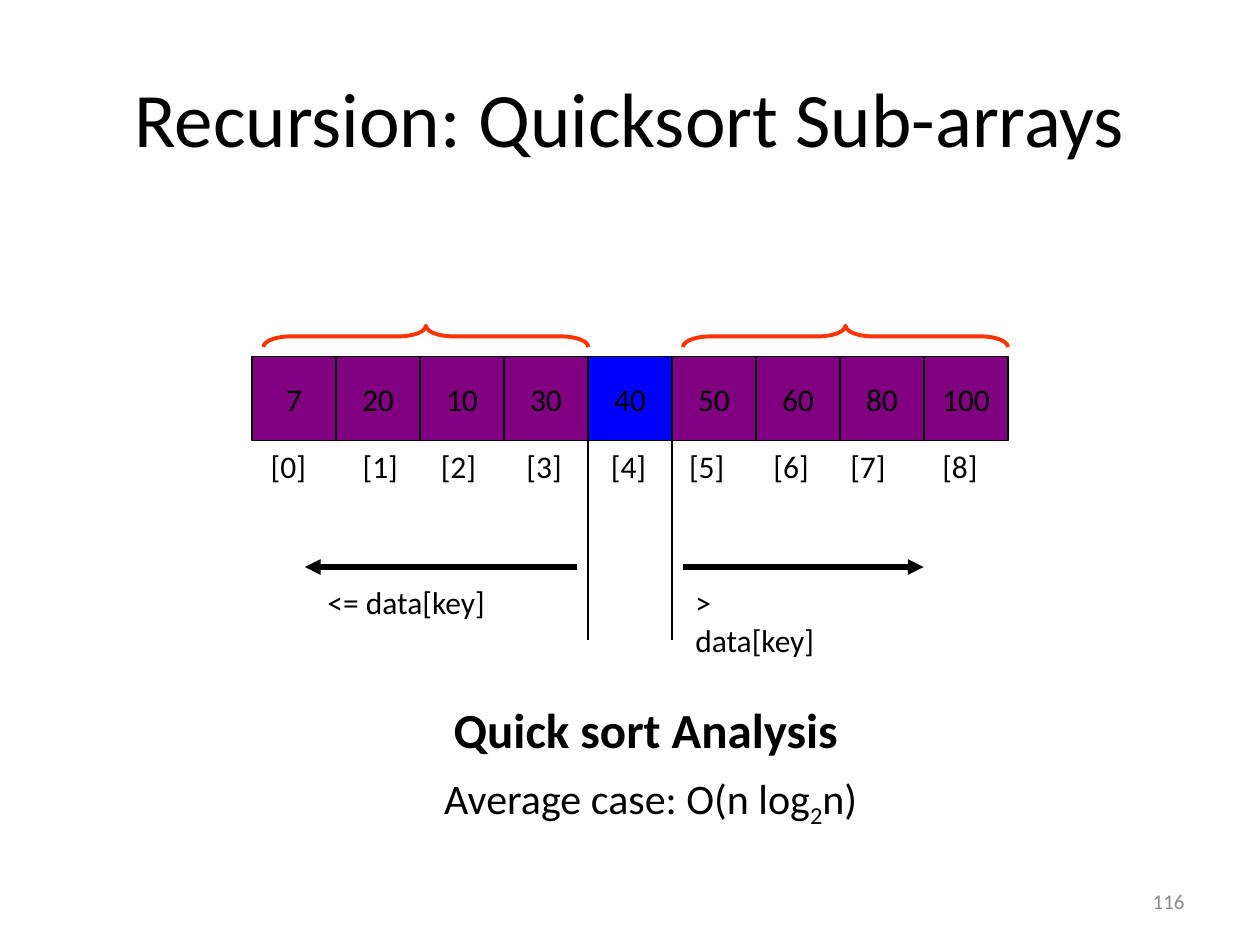
from dataclasses import dataclass
from typing import Optional

import lxml.etree
import pptx
import pptx.dml.color
import pptx.enum.shapes
import pptx.enum.text
import pptx.oxml
import pptx.oxml.ns
import pptx.util

Inches = pptx.util.Inches
Pt = pptx.util.Pt
RGB = pptx.dml.color.RGBColor
Align = pptx.enum.text.PP_ALIGN
Anchor = pptx.enum.text.MSO_ANCHOR
Shape = pptx.enum.shapes.MSO_SHAPE
qn = pptx.oxml.ns.qn


@dataclass(frozen=True)
class Theme:
    font: str = "Calibri"
    ink: RGB = RGB(0x00, 0x00, 0x00)
    muted: RGB = RGB(0x8C, 0x8C, 0x8C)
    subarray: RGB = RGB(0x80, 0x00, 0x80)
    pivot: RGB = RGB(0x00, 0x00, 0xFF)
    brace: RGB = RGB(0xFF, 0x33, 0x00)
    title: int = 44
    heading: int = 28
    result: int = 24
    label: int = 18
    footer: int = 12


@dataclass(frozen=True)
class Box:
    left: float
    top: float
    width: float
    height: float

    def emu(self) -> tuple:
        return tuple(Inches(v) for v in (self.left, self.top, self.width, self.height))


@dataclass(frozen=True)
class Line:
    x1: float
    y1: float
    x2: float
    y2: float
    weight: float
    arrow: bool = False


@dataclass(frozen=True)
class Label:
    text: str
    box: Box
    size: int
    align: Align = Align.LEFT
    anchor: Anchor = Anchor.TOP
    bold: bool = False
    color: Optional[RGB] = None


THEME = Theme()
VALUES = (7, 20, 10, 30, 40, 50, 60, 80, 100)
PIVOT = 4
CELL = 2 / 3
ROW_LEFT, ROW_TOP = 2, 2.83
PIVOT_LEFT = ROW_LEFT + PIVOT * CELL
PIVOT_RIGHT = PIVOT_LEFT + CELL
INDEX_STOPS = (0.73, 1.35, 2.03, 2.7, 3.32, 3.99, 4.6, 5.33)
BRACE_CENTERS = (3.38, 6.71)

LINES = (
    Line(PIVOT_LEFT, ROW_TOP, PIVOT_LEFT, 5.08, 0.75),
    Line(PIVOT_RIGHT, ROW_TOP, PIVOT_RIGHT, 5.08, 0.75),
    Line(4.58, 4.5, 2.42, 4.5, 3, True),
    Line(5.42, 4.5, 7.33, 4.5, 3, True),
)
LABELS = (
    Label("<= data[key]", Box(2.5, 4.58, 1.47, 0.4), THEME.label),
    Label("> data[key]", Box(5.42, 4.58, 1.3, 0.4), THEME.label),
    Label("116", Box(7.17, 6.95, 2.33, 0.4), THEME.footer, Align.RIGHT,
          Anchor.MIDDLE, color=THEME.muted),
    Label("Quick sort Analysis", Box(2.25, 5.56, 5.75, 0.45), THEME.heading,
          Align.CENTER, Anchor.MIDDLE, bold=True),
)


def add_text(p, text: str, *, size: int, color: RGB = THEME.ink,
             bold: bool = False, align: Optional[Align] = None, baseline: int = 0):
    if align is not None:
        p.alignment = align
    r = p.add_run()
    r.text = text
    r.font.name = THEME.font
    r.font.size = Pt(size)
    r.font.bold = bold
    r.font.color.rgb = color
    if baseline:
        r.font._element.set("baseline", str(baseline * 1000))
    return r


def add_box(s, box: Box, anchor: Anchor = Anchor.TOP):
    tf = s.shapes.add_textbox(*box.emu()).text_frame
    tf.word_wrap = True
    tf.vertical_anchor = anchor
    return tf.paragraphs[0]


def add_label(s, label: Label) -> None:
    p = add_box(s, label.box, label.anchor)
    add_text(p, label.text, size=label.size, align=label.align, bold=label.bold,
             color=label.color or THEME.ink)


def add_cell(s, index: int, value: int) -> None:
    box = Box(ROW_LEFT + index * CELL, ROW_TOP, CELL, CELL)
    sp = s.shapes.add_shape(Shape.RECTANGLE, *box.emu())
    sp.shadow.inherit = False
    sp.fill.solid()
    sp.fill.fore_color.rgb = THEME.pivot if index == PIVOT else THEME.subarray
    sp.line.color.rgb = THEME.ink
    sp.line.width = Pt(0.75)
    tf = sp.text_frame
    tf.word_wrap = False
    tf.vertical_anchor = Anchor.MIDDLE
    add_text(tf.paragraphs[0], str(value), size=THEME.label, align=Align.CENTER)


def add_indexes(s) -> None:
    p = add_box(s, Box(2.05, 3.5, 5.98, 0.4))
    tabs = lxml.etree.SubElement(p._p.get_or_add_pPr(), qn("a:tabLst"))
    for stop in INDEX_STOPS:
        lxml.etree.SubElement(tabs, qn("a:tab"), pos=str(Inches(stop)), algn="l")
    text = "\t".join(f"[{i}]" for i in range(len(VALUES)))
    add_text(p, text, size=THEME.label)


def add_line(s, line: Line) -> None:
    ends = (Inches(v) for v in (line.x1, line.y1, line.x2, line.y2))
    cx = s.shapes.add_connector(pptx.enum.shapes.MSO_CONNECTOR.STRAIGHT, *ends)
    cx.line.color.rgb = THEME.ink
    cx.line.width = Pt(line.weight)
    sp_pr = cx._element.spPr
    if line.arrow:
        lxml.etree.SubElement(sp_pr.find(qn("a:ln")), qn("a:tailEnd"), type="triangle")
    lxml.etree.SubElement(sp_pr, qn("a:effectLst"))


def add_brace(s, center: float) -> None:
    width, height = 0.17, 2.58
    box = Box(center - width / 2, 2.67 - height / 2, width, height)
    sp = s.shapes.add_shape(Shape.LEFT_BRACE, *box.emu())
    sp.rotation = 90
    sp.adjustments[0] = 1.29
    sp.shadow.inherit = False
    sp.fill.background()
    sp.line.color.rgb = THEME.brace
    sp.line.width = Pt(2.25)


def add_title(s, text: str) -> None:
    title = s.shapes.title
    title.left, title.top, title.width, title.height = Box(0.5, 0.3, 9, 1.25).emu()
    title.text_frame.vertical_anchor = Anchor.MIDDLE
    add_text(title.text_frame.paragraphs[0], text, size=THEME.title, align=Align.CENTER)


def main() -> None:
    prs = pptx.Presentation()
    prs.slide_width, prs.slide_height = Inches(10), Inches(7.5)
    s = prs.slides.add_slide(prs.slide_layouts.get_by_name("Title Only"))
    add_title(s, "Recursion: Quicksort Sub-arrays")
    for index, value in enumerate(VALUES):
        add_cell(s, index, value)
    add_indexes(s)
    for line in LINES:
        add_line(s, line)
    for center in BRACE_CENTERS:
        add_brace(s, center)
    for label in LABELS:
        add_label(s, label)
    p = add_box(s, Box(3.25, 6.08, 3.83, 0.5))
    for text, baseline in (("Average case: O(n log", 0), ("2", -25), ("n)", 0)):
        add_text(p, text, size=THEME.result, align=Align.CENTER, baseline=baseline)
    prs.save("out.pptx")


if __name__ == "__main__":
    main()
